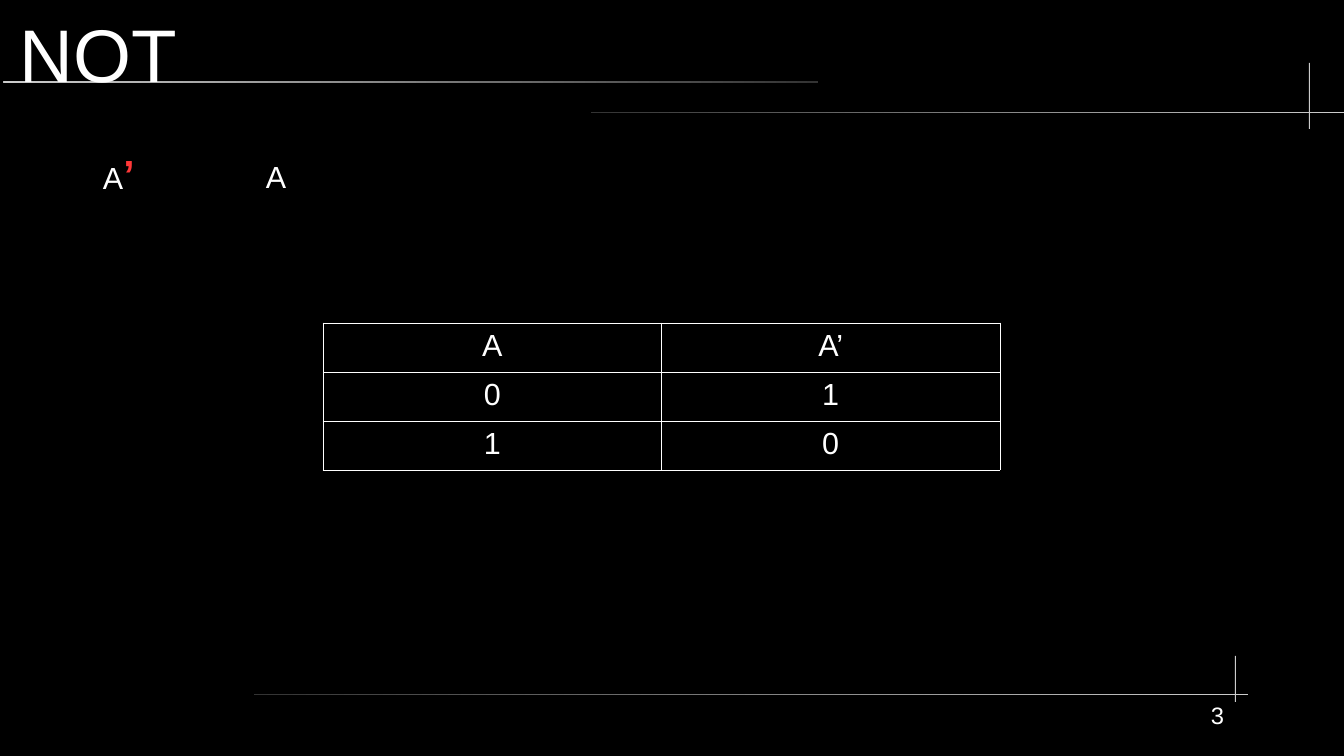
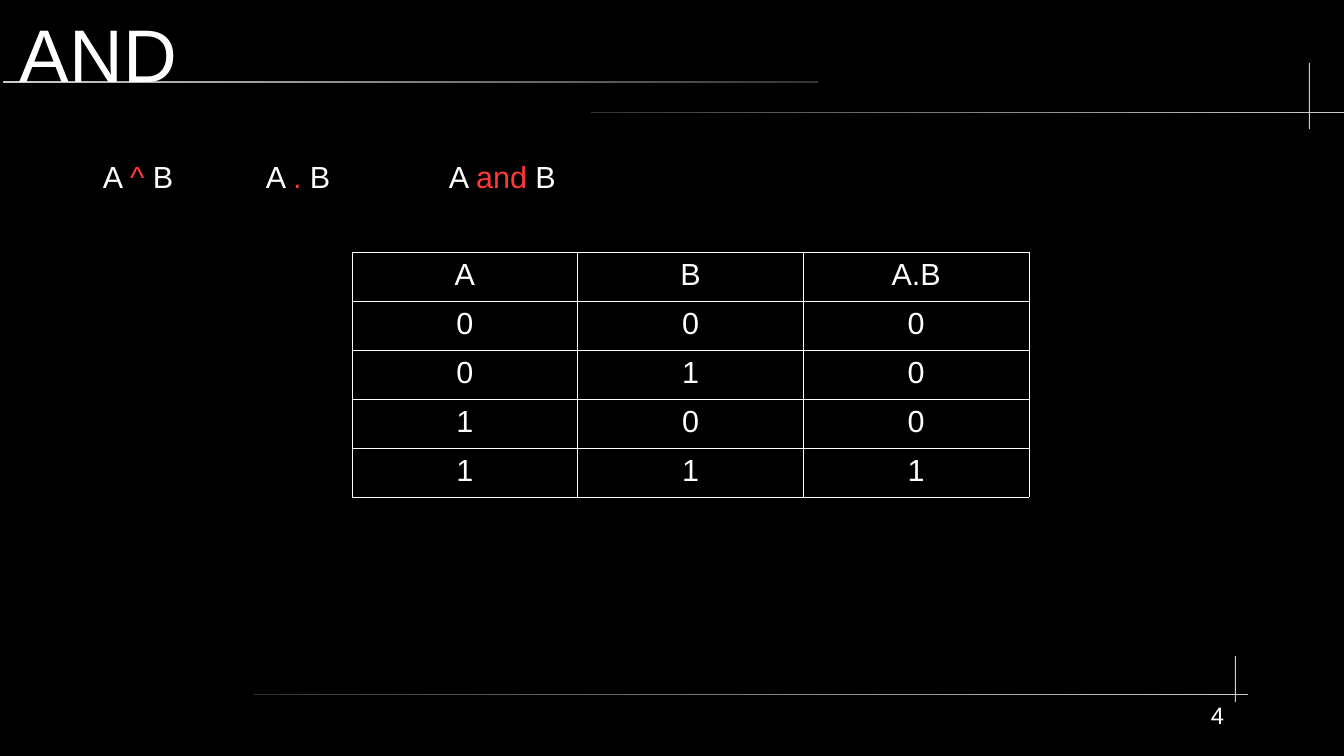
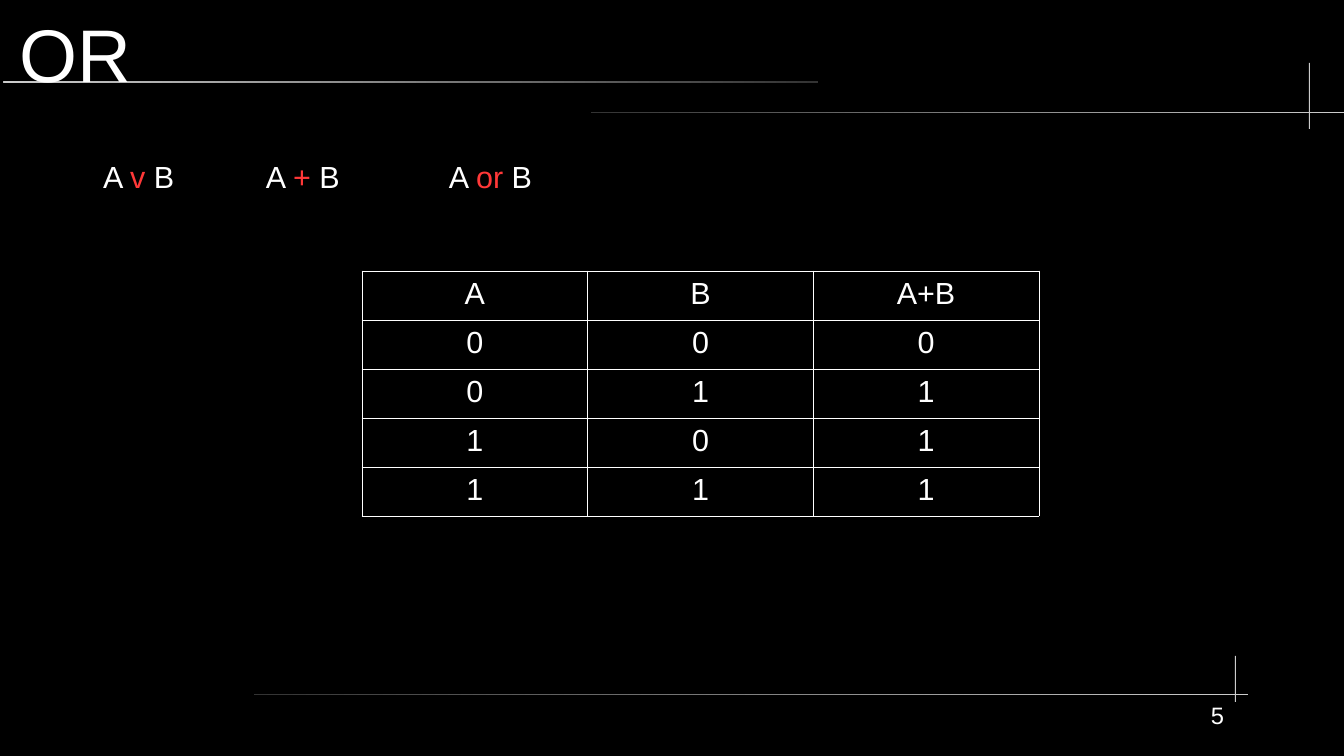
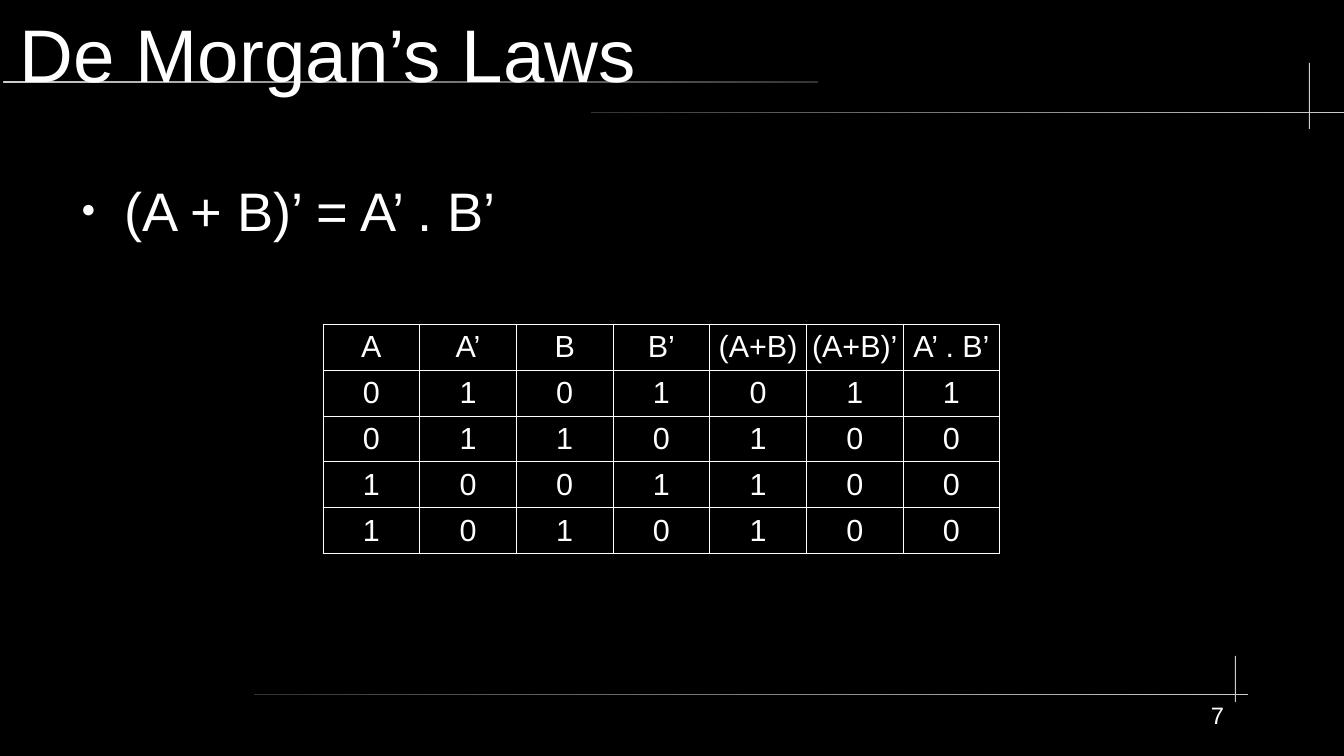
from lxml import etree
from pptx import Presentation
from pptx.dml.color import RGBColor
from pptx.enum.shapes import MSO_SHAPE
from pptx.enum.text import MSO_ANCHOR, MSO_AUTO_SIZE, PP_ALIGN
from pptx.oxml import parse_xml
from pptx.oxml.ns import nsdecls, qn
from pptx.util import Pt

ROUNDED, RECTANGLE = MSO_SHAPE.ROUNDED_RECTANGLE, MSO_SHAPE.RECTANGLE
LEFT, CENTER, RIGHT = PP_ALIGN.LEFT, PP_ALIGN.CENTER, PP_ALIGN.RIGHT
TOP, MIDDLE = MSO_ANCHOR.TOP, MSO_ANCHOR.MIDDLE
GROW, FIXED = MSO_AUTO_SIZE.SHAPE_TO_FIT_TEXT, MSO_AUTO_SIZE.NONE

BLACK = RGBColor(0x00, 0x00, 0x00)
WHITE = RGBColor(0xFF, 0xFF, 0xFF)
RED = RGBColor(0xFF, 0x38, 0x38)
PALE = RGBColor(0xCC, 0xCC, 0xCC)
DARK = RGBColor(0x33, 0x33, 0x33)

FONT = "Arial"
TABLE_WIDTH = 677
FORMULA_TOP = 152
TITLE_ONLY, TITLE_AND_BODY = 5, 1


def px(*lengths):
    """Turn pixels into EMU, 122 pixels to the inch."""
    return [round(length * 914400 / 122) for length in lengths]


def add_run(paragraph, text, size, color=WHITE, bold=None):
    run = paragraph.add_run()
    run.text = text
    run.font.name = FONT
    run.font.size = Pt(size)
    run.font.color.rgb = color
    run.font.bold = bold


# Formulas: left, top, width, height, then runs of text, size, colour, bold
# Truth tables: left, top, row height, then one string per row
SLIDES = [
    {
        "title": "NOT", "number": "3",
        "formulas": [
            (91, 143, 58, 57, [("A", 18), ("’", 24, RED, True)]),
            (254, FORMULA_TOP, 46, 46, [("A", 18)]),
        ],
        "table": (323, 323, 49, ["A|A’", "0|1", "1|0"]),
    },
    {
        "title": "AND", "number": "4",
        "formulas": [
            (left, FORMULA_TOP, width, 46, [("A ", 18), (operator, 18, RED), (" B", 18)])
            for left, width, operator in [(91, 98, "^"), (254, 93, "."), (437, 135, "and")]
        ],
        "table": (352, 252, 49, ["A|B|A.B", "0|0|0", "0|1|0", "1|0|0", "1|1|1"]),
    },
    {
        "title": "OR", "number": "5",
        "formulas": [
            (left, FORMULA_TOP, width, 46, [("A ", 18), (operator, 18, RED), (" B", 18)])
            for left, width, operator in [(91, 99, "v"), (254, 102, "+"), (437, 111, "or")]
        ],
        "table": (362, 271, 49, ["A|B|A+B", "0|0|0", "0|1|1", "1|0|1", "1|1|1"]),
    },
    {
        "title": "De Morgan’s Laws", "number": "7",
        "formulas": [],
        "law": "(A + B)’ = A’ . B’",
        "table": (323, 324, 46, [
            "A|A’|B|B’|(A+B)|(A+B)’|A’ . B’",
            "0|1|0|1|0|1|1",
            "0|1|1|0|1|0|0",
            "1|0|0|1|1|0|0",
            "1|0|1|0|1|0|0",
        ]),
    },
]

presentation = Presentation()
presentation.slide_width, presentation.slide_height = px(1344, 756)
master = presentation.slide_master
master.background.fill.solid()
master.background.fill.fore_color.rgb = BLACK

for content in SLIDES:
    layout = TITLE_AND_BODY if "law" in content else TITLE_ONLY
    slide = presentation.slides.add_slide(presentation.slide_layouts[layout])

    # Title
    title = slide.shapes.title
    title.left, title.top, title.width, title.height = px(20, 9, 1272, 87)
    frame = title.text_frame
    frame.margin_left = frame.margin_top = frame.margin_right = frame.margin_bottom = 0
    frame.vertical_anchor = MIDDLE
    frame.auto_size = GROW
    frame.paragraphs[0].alignment = LEFT
    add_run(frame.paragraphs[0], content["title"], 44)

    # Bulleted law
    if "law" in content:
        body = slide.placeholders[1]
        body.left, body.top, body.width, body.height = px(67, 177, 1210, 439)
        frame = body.text_frame
        frame.margin_left = frame.margin_top = frame.margin_right = frame.margin_bottom = 0
        frame.vertical_anchor = TOP
        frame.auto_size = FIXED
        paragraph = frame.paragraphs[0]
        paragraph.space_before = Pt(14.2)
        add_run(paragraph, content["law"], 32)
        properties = paragraph._p.get_or_add_pPr()
        margin, indent = px(57, -43)
        properties.set("marL", str(margin))
        properties.set("indent", str(indent))
        bullet_color = etree.SubElement(properties, qn("a:buClr"))
        etree.SubElement(bullet_color, qn("a:srgbClr"), val=str(WHITE))
        etree.SubElement(properties, qn("a:buSzPct"), val="45000")
        etree.SubElement(properties, qn("a:buFont"), typeface=FONT)
        etree.SubElement(properties, qn("a:buChar"), char="●")

    # Notations of the operator
    for left, top, width, height, runs in content["formulas"]:
        formula = slide.shapes.add_textbox(*px(left, top, width, height))
        formula.text_frame.word_wrap = False
        formula.text_frame.auto_size = GROW
        for run in runs:
            add_run(formula.text_frame.paragraphs[0], *run)

    # Truth table
    left, top, row_height, lines = content["table"]
    rows = [line.split("|") for line in lines]
    columns = len(rows[0])
    table = slide.shapes.add_table(
        len(rows), columns, *px(left, top, TABLE_WIDTH, row_height * len(rows))
    ).table
    table.first_row = table.horz_banding = False
    for column in table.columns:
        column.width = px(TABLE_WIDTH / columns)[0]
    for row_index, row in enumerate(rows):
        table.rows[row_index].height = px(row_height)[0]
        for column_index, text in enumerate(row):
            cell = table.cell(row_index, column_index)
            cell.margin_left, cell.margin_top, cell.margin_right, cell.margin_bottom = px(4, 6, 4, 5)
            cell.text_frame.paragraphs[0].alignment = CENTER
            add_run(cell.text_frame.paragraphs[0], text, 18)
            cell_properties = cell._tc.get_or_add_tcPr()
            for side in ("lnL", "lnR", "lnT", "lnB"):
                cell_properties.append(parse_xml(
                    f'<a:{side} {nsdecls("a")} w="{Pt(0.57)}"><a:solidFill>'
                    f'<a:srgbClr val="{WHITE}"/></a:solidFill></a:{side}>'
                ))
            cell.fill.background()

    # Slide number
    number = slide.shapes.add_textbox(*px(1008, 701, 216, 55))
    frame = number.text_frame
    frame.word_wrap = True
    frame.margin_left = frame.margin_top = frame.margin_right = frame.margin_bottom = 0
    frame.paragraphs[0].alignment = RIGHT
    add_run(frame.paragraphs[0], content["number"], 14)

# Shared rules: drawn once, then moved to the slide master
RULES = [
    (ROUNDED, 3, 81, 815, 2, (PALE, DARK)),
    (ROUNDED, 591, 112, 753, 1, (DARK, PALE)),
    (RECTANGLE, 1309, 63, 1, 66, (PALE,)),
    (ROUNDED, 254, 694, 994, 1, (DARK, PALE)),
    (RECTANGLE, 1235, 656, 1, 46, (PALE,)),
]
for rule_id, (kind, left, top, width, height, colors) in enumerate(RULES, 101):
    rule = slide.shapes.add_shape(kind, *px(left, top, width, height))
    rule.shadow.inherit = False
    rule.line.fill.background()
    if kind == ROUNDED:
        rule.adjustments[0] = 0.5
        rule.fill.gradient()
        rule.fill.gradient_angle = 0
        for stop, color in zip(rule.fill.gradient_stops, colors):
            stop.color.rgb = color
    else:
        rule.fill.solid()
        rule.fill.fore_color.rgb = colors[0]
    rule.element.nvSpPr.cNvPr.set("id", str(rule_id))
    master.shapes.element.append(rule.element)

presentation.save("out.pptx")
